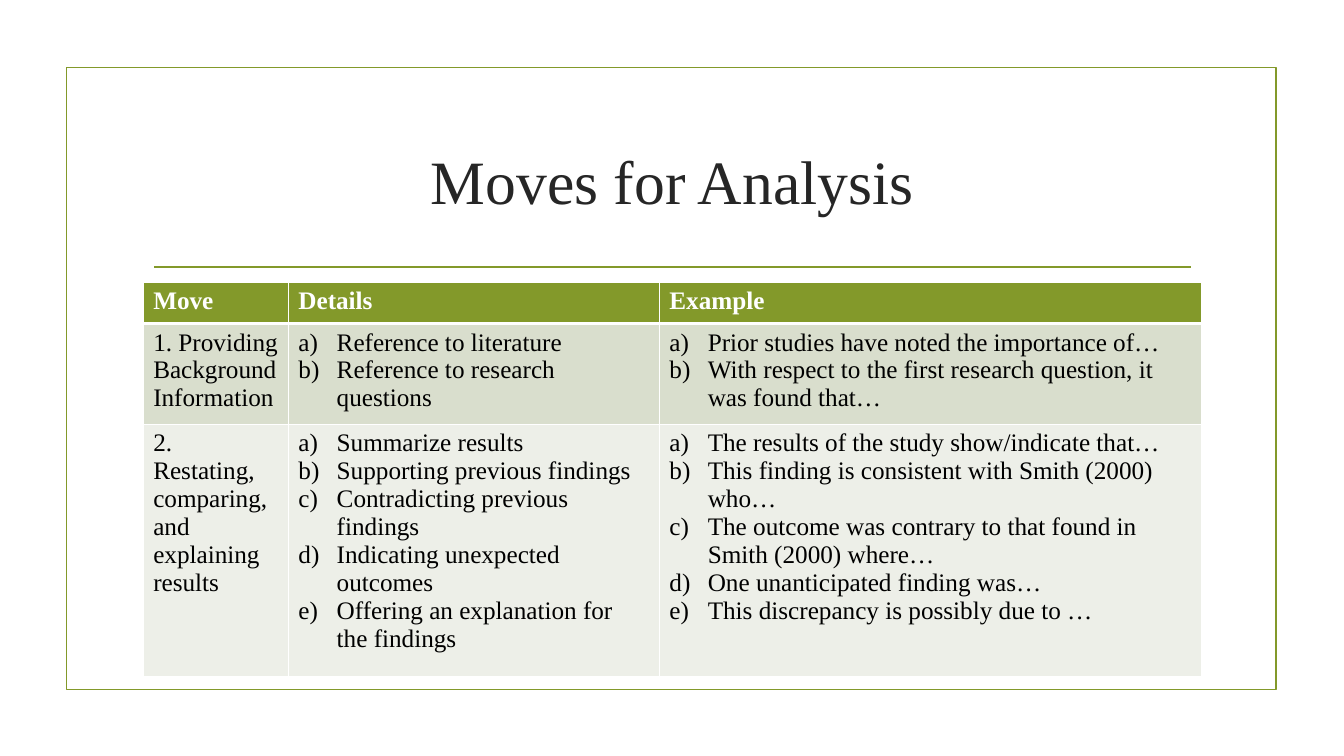
from lxml import etree
from pptx import Presentation
from pptx.dml.color import RGBColor
from pptx.enum.shapes import MSO_CONNECTOR, MSO_SHAPE
from pptx.enum.text import MSO_ANCHOR, PP_ALIGN
from pptx.oxml.ns import qn
from pptx.util import Pt

RECT = MSO_SHAPE.RECTANGLE
LINE = MSO_CONNECTOR.STRAIGHT
MIDDLE = MSO_ANCHOR.MIDDLE
CENTER = PP_ALIGN.CENTER

SCALE = 9144
GREEN = "83992A"
WHITE = "FFFFFF"
BLACK = "000000"
FILLS = [GREEN, "D9DECD", "EDEFE8"]
COLS = [144, 368, 538]
ROWS = [41, 92, 228]
CELLS = [
    ["Move", "Details", "Example"],
    [
        "1. Providing Background Information",
        ["Reference to literature", "Reference to research questions"],
        [
            "Prior studies have noted the importance of…",
            "With respect to the first research question, it was found that…",
        ],
    ],
    [
        "2. Restating, comparing, and explaining results",
        [
            "Summarize results",
            "Supporting previous findings",
            "Contradicting previous findings",
            "Indicating unexpected outcomes",
            "Offering an explanation for the findings",
        ],
        [
            "The results of the study show/indicate that…",
            "This finding is consistent with Smith (2000) who…",
            "The outcome was contrary to that found in Smith (2000) where…",
            "One unanticipated finding was…",
            "This discrepancy is possibly due to …",
        ],
    ],
]


def px(*sizes):
    return [size * SCALE for size in sizes]


def color(code):
    return RGBColor.from_string(code)


class Page:
    font = "Times New Roman"
    weight = Pt(1.25)

    def __init__(self, deck):
        self.slide = deck.slides.add_slide(deck.slide_layouts[6])
        self.shapes = self.slide.shapes

    def stroke(self, shape):
        shape.line.color.rgb = color(GREEN)
        shape.line.width = self.weight

    def style(self, para, size, code, bold=False):
        para.font.name = self.font
        para.font.size = Pt(size)
        para.font.bold = bold
        para.font.color.rgb = color(code)

    def frame(self, *box):
        shape = self.shapes.add_shape(RECT, *px(*box))
        shape.shadow.inherit = False
        shape.fill.background()
        self.stroke(shape)

    def rule(self, *ends):
        line = self.shapes.add_connector(LINE, *px(*ends))
        self.stroke(line)
        etree.SubElement(line._element.spPr, qn("a:effectLst"))

    def title(self, text, *box):
        frame = self.shapes.add_textbox(*px(*box)).text_frame
        frame.word_wrap = True
        frame.vertical_anchor = MIDDLE
        para = frame.paragraphs[0]
        para.text = text
        para.alignment = CENTER
        self.style(para, 44, "262626")

    def border(self, cell, head):
        props = cell._tc.get_or_add_tcPr()
        for side in "LRTB":
            width = Pt(3 if head and side == "B" else 1)
            line = etree.SubElement(props, qn(f"a:ln{side}"), w=str(width))
            fill = etree.SubElement(line, qn("a:solidFill"))
            etree.SubElement(fill, qn("a:srgbClr"), val=WHITE)

    def letter(self, para):
        props = para._p.get_or_add_pPr()
        indent = 38 * SCALE
        props.set("marL", str(indent))
        props.set("indent", str(-indent))
        etree.SubElement(props, qn("a:buFont"), typeface=self.font)
        etree.SubElement(props, qn("a:buAutoNum"), type="alphaLcParenR")

    def cell(self, cell, text, fill, head):
        self.border(cell, head)
        cell.fill.solid()
        cell.fill.fore_color.rgb = color(fill)
        listed = isinstance(text, list)
        cell.text = "\n".join(text) if listed else text
        for para in cell.text_frame.paragraphs:
            if listed:
                self.letter(para)
            self.style(para, 18, WHITE if head else BLACK, head)

    def table(self, left, top):
        box = px(left, top, sum(COLS), sum(ROWS))
        table = self.shapes.add_table(len(ROWS), len(COLS), *box).table
        table.horz_banding = False
        for col, width in zip(table.columns, px(*COLS)):
            col.width = width
        for row, height in zip(table.rows, px(*ROWS)):
            row.height = height
        for i, (texts, fill) in enumerate(zip(CELLS, FILLS)):
            for j, text in enumerate(texts):
                self.cell(table.cell(i, j), text, fill, i == 0)


def main():
    deck = Presentation()
    deck.slide_width, deck.slide_height = px(1333, 750)
    page = Page(deck)
    page.frame(66, 67, 1200, 617)
    page.rule(153, 265, 1181, 265)
    page.title("Moves for Analysis", 142, 107, 1050, 143)
    page.table(142, 280)
    deck.save("out.pptx")


if __name__ == "__main__":
    main()
